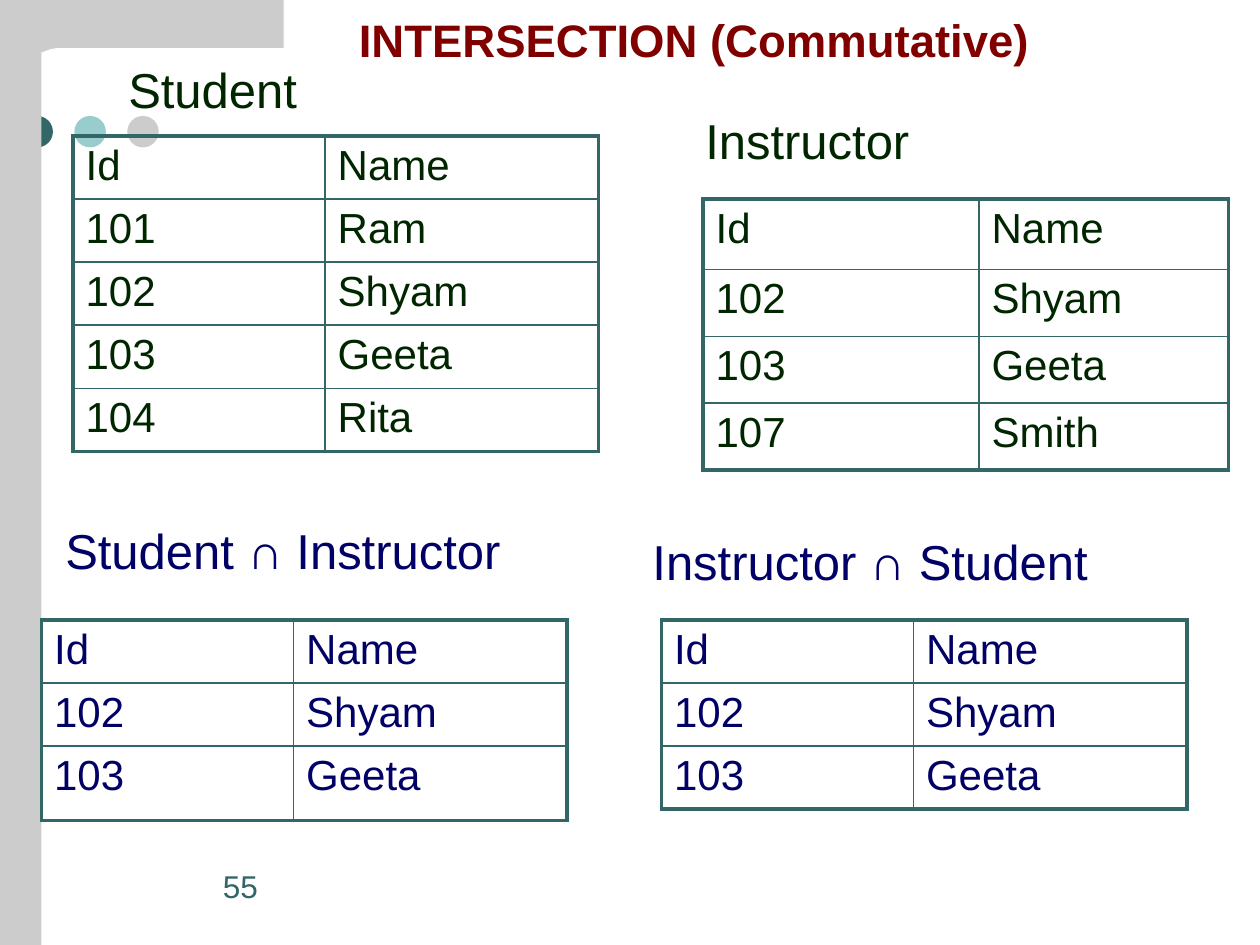
from dataclasses import dataclass

from lxml import etree
from pptx import Presentation, util as u
from pptx.dml.color import RGBColor as Rgb
from pptx.enum import shapes as s
from pptx.oxml import ns

Inches = u.Inches


@dataclass(frozen=True)
class Theme:
    font: str = "Arial"
    green: str = "002600"
    navy: str = "000066"
    red: str = "800000"
    teal: str = "336666"
    aqua: str = "99CCCC"
    gray: str = "CCCCCC"
    head: int = 26
    label: int = 28
    cell: int = 24
    page: int = 18
    thick: float = 2.25
    thin: float = 1


T = Theme()


def style(para, size, color, bold=False):
    font = para.font
    font.name, font.size, font.bold = T.font, u.Pt(size), bold
    font.color.rgb = Rgb.from_string(color)


def paint(shape, color):
    shape.shadow.inherit = False
    shape.fill.solid()
    shape.fill.fore_color.rgb = Rgb.from_string(color)
    shape.line.fill.background()


def block(slide, kind, box, color):
    paint(slide.shapes.add_shape(kind, *map(Inches, box)), color)


def outline(slide, points, color):
    points = [(Inches(x), Inches(y)) for x, y in points]
    pen = slide.shapes.build_freeform(*points[0])
    pen.add_line_segments(points[1:], close=True)
    paint(pen.convert_to_shape(), color)


def label(slide, box, parts, size, color, bold=False):
    """Write the parts in one line; every second part is bold."""
    frame = slide.shapes.add_textbox(*map(Inches, box)).text_frame
    frame.word_wrap = True
    para = frame.paragraphs[0]
    style(para, size, color, bold)
    for i, part in enumerate(parts):
        run = para.add_run()
        run.text = part
        if i % 2:
            run.font.bold = True


def border(cell, side, width):
    line = etree.SubElement(cell._tc.get_or_add_tcPr(), ns.qn(f"a:ln{side}"),
                            w=str(u.Pt(width)))
    fill = etree.SubElement(line, ns.qn("a:solidFill"))
    etree.SubElement(fill, ns.qn("a:srgbClr"), val=T.teal)


def grid(slide, left, top, cols, highs, rows, color):
    """Draw a table with a thick frame and thin inner lines."""
    size = len(rows), len(cols)
    box = left, top, sum(cols), sum(highs)
    table = slide.shapes.add_table(*size, *map(Inches, box)).table
    table.first_row = table.horz_banding = False
    for col, width in zip(table.columns, cols):
        col.width = Inches(width)
    for r, (row, high) in enumerate(zip(rows, highs)):
        table.rows[r].height = Inches(high)
        for c, value in enumerate(row):
            cell = table.cell(r, c)
            edges = {"L": c == 0, "R": c == size[1] - 1,
                     "T": r == 0, "B": r == size[0] - 1}
            for side, outer in edges.items():
                border(cell, side, T.thick if outer else T.thin)
            cell.fill.background()
            cell.text = value
            style(cell.text_frame.paragraphs[0], T.cell, color)


def main():
    deck = Presentation()
    deck.slide_width, deck.slide_height = Inches(10), Inches(7.5)
    slide = deck.slides.add_slide(deck.slide_layouts[6])

    # Backdrop: dots, side bar and corner
    for i, color in enumerate((T.teal, T.aqua, T.gray)):
        block(slide, s.MSO_SHAPE.OVAL,
              (0.17 + 0.42 * i, 0.92, 0.25, 0.25), color)
    block(slide, s.MSO_SHAPE.RECTANGLE, (0, 0, 0.33, 7.5), T.gray)
    outline(slide, [(2.25, 0), (2.25, 0.38), (0.46, 0.38), (0.4, 0.39),
                    (0.32, 0.42), (0.27, 0.47), (0.25, 0.53), (0.25, 0.58),
                    (0, 0.58), (0, 0)], T.gray)
    label(slide, (1.67, 6.83, 1.42, 0.5), ["55"], T.page, T.teal)

    # Tables
    head, shyam, geeta = ("Id", "Name"), ("102", "Shyam"), ("103", "Geeta")
    common = [head, shyam, geeta]
    cols = 2, 2.17
    grid(slide, 0.33, 4.92, cols, (0.5, 0.47, 0.59), common, T.navy)
    grid(slide, 5.58, 1.58, (2.19, 1.98), (0.56, 0.53, 0.53, 0.53),
         common + [("107", "Smith")], T.green)
    grid(slide, 0.58, 1.08, cols, [0.47] * 5,
         [head, ("101", "Ram"), shyam, geeta, ("104", "Rita")], T.green)
    grid(slide, 5.25, 4.92, cols, [0.5] * 3, common, T.navy)

    # Title and table names
    label(slide, (2.75, 0.05, 6.17, 0.53), ["INTERSECTION (Commutative)"],
          T.head, T.red, bold=True)
    for left, top, width, parts, color in (
            (0.92, 0.42, 2.64, ["Student"], T.green),
            (5.5, 0.83, 2.64, ["Instructor"], T.green),
            (0.42, 4.08, 4.08, ["Student ", "∩", " Instructor"], T.navy),
            (5.08, 4.17, 4.08, ["Instructor ", "∩ ", "Student"], T.navy)):
        label(slide, (left, top, width, 0.57), parts, T.label, color)

    deck.save("out.pptx")


if __name__ == "__main__":
    main()
